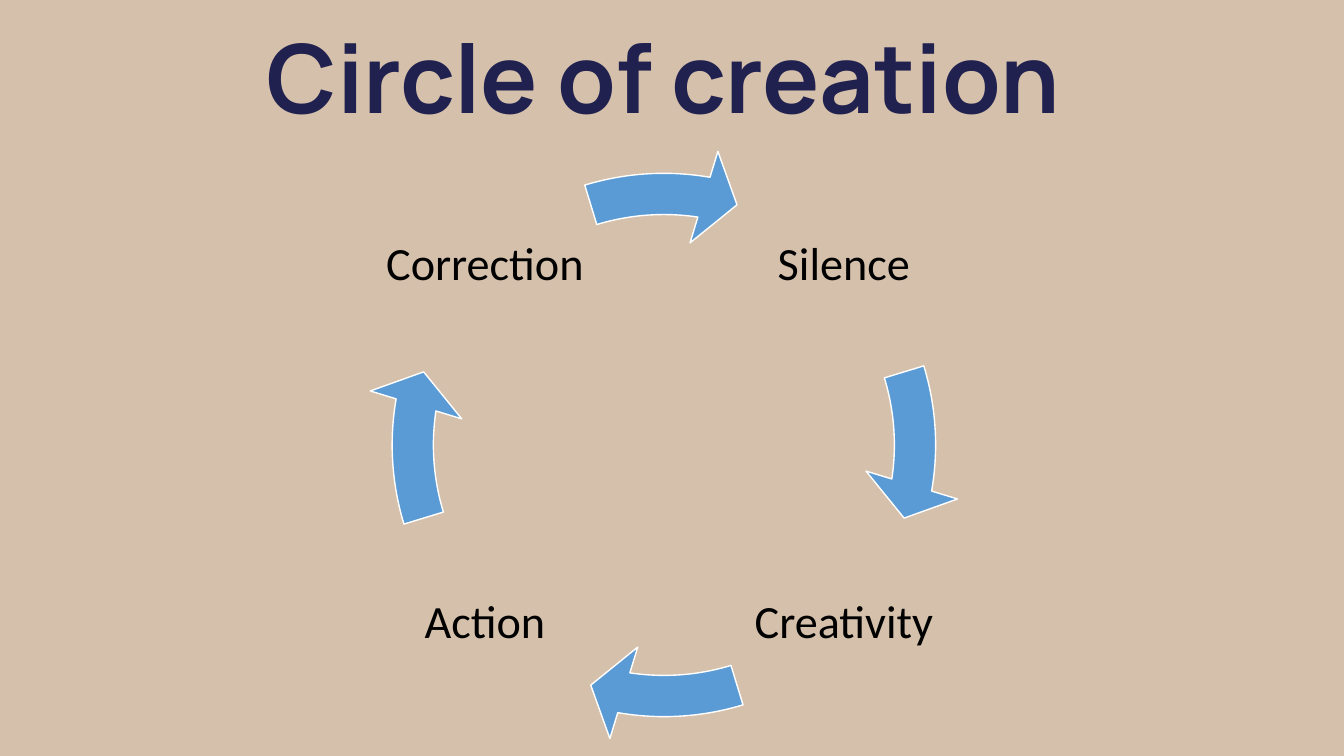
from pptx import Presentation
from pptx.dml.color import RGBColor
from pptx.enum.shapes import MSO_SHAPE
from pptx.enum.text import MSO_ANCHOR, PP_ALIGN
from pptx.util import Inches, Pt

COLORS = {
    "background": "D4C0AB",
    "title": "20214F",
    "label": "000000",
    "arrow": "5B9BD5",
    "outline": "FFFFFF",
}
LEFT, RIGHT, TOP, BOTTOM = 3.76, 7.32, 1.58, 5.14
STAGES = [  # clockwise from the top right
    ("Silence", RIGHT, TOP),
    ("Creativity", RIGHT, BOTTOM),
    ("Action", LEFT, BOTTOM),
    ("Correction", LEFT, TOP),
]
LABEL_SIZE = 2.1
RING_LEFT, RING_TOP, RING_SIZE = 3.62, 1.45, 5.93
ANGLE_UNIT = 0.6  # adjustment value of one degree
ARROW_START, ARROW_END, HEAD_ANGLE = 343.07, 9.18, 7.75


def color(name):
    return RGBColor.from_string(COLORS[name])


def add_text(slide, text, box, font_name, size, color_name, bold=False):
    """Add a centred text box and return its text frame."""
    text_frame = slide.shapes.add_textbox(*map(Inches, box)).text_frame
    text_frame.word_wrap = True
    text_frame.text = text
    paragraph = text_frame.paragraphs[0]
    paragraph.alignment = PP_ALIGN.CENTER
    paragraph.line_spacing = 0.9
    font = paragraph.runs[0].font
    font.name = font_name
    font.size = Pt(size)
    font.bold = bold
    font.color.rgb = color(color_name)
    return text_frame


def add_stage_label(slide, text, left, top):
    box = (left, top, LABEL_SIZE, LABEL_SIZE)
    text_frame = add_text(slide, text, box, "Calibri", 33, "label")
    text_frame.vertical_anchor = MSO_ANCHOR.MIDDLE
    text_frame.margin_left = text_frame.margin_right = Inches(0.05)
    text_frame.margin_top = text_frame.margin_bottom = Inches(0.05)


def add_cycle_arrow(slide, turn):
    """Add one arrow of the ring, turned clockwise by the given degrees."""
    box = (RING_LEFT, RING_TOP, RING_SIZE, RING_SIZE)
    arrow = slide.shapes.add_shape(MSO_SHAPE.CIRCULAR_ARROW, *map(Inches, box))
    adjustments = (
        0.069,
        HEAD_ANGLE * ANGLE_UNIT,
        (ARROW_END + turn) % 360 * ANGLE_UNIT,
        (ARROW_START + turn) % 360 * ANGLE_UNIT,
        0.08,
    )
    for index, value in enumerate(adjustments):
        arrow.adjustments[index] = value
    arrow.shadow.inherit = False
    arrow.fill.solid()
    arrow.fill.fore_color.rgb = color("arrow")
    arrow.line.color.rgb = color("outline")
    arrow.line.width = Pt(1)


def main():
    presentation = Presentation()
    presentation.slide_width = Inches(13.33)
    presentation.slide_height = Inches(7.5)
    slide = presentation.slides.add_slide(presentation.slide_layouts[6])
    slide.background.fill.solid()
    slide.background.fill.fore_color.rgb = color("background")

    for index, (text, left, top) in enumerate(STAGES):
        add_stage_label(slide, text, left, top)
        add_cycle_arrow(slide, 90 * index)
    title_box = (0.23, 0.26, 12.71, 1.81)
    add_text(slide, "Circle of creation", title_box, "Manrope", 68, "title", bold=True)

    presentation.save("out.pptx")


if __name__ == "__main__":
    main()
